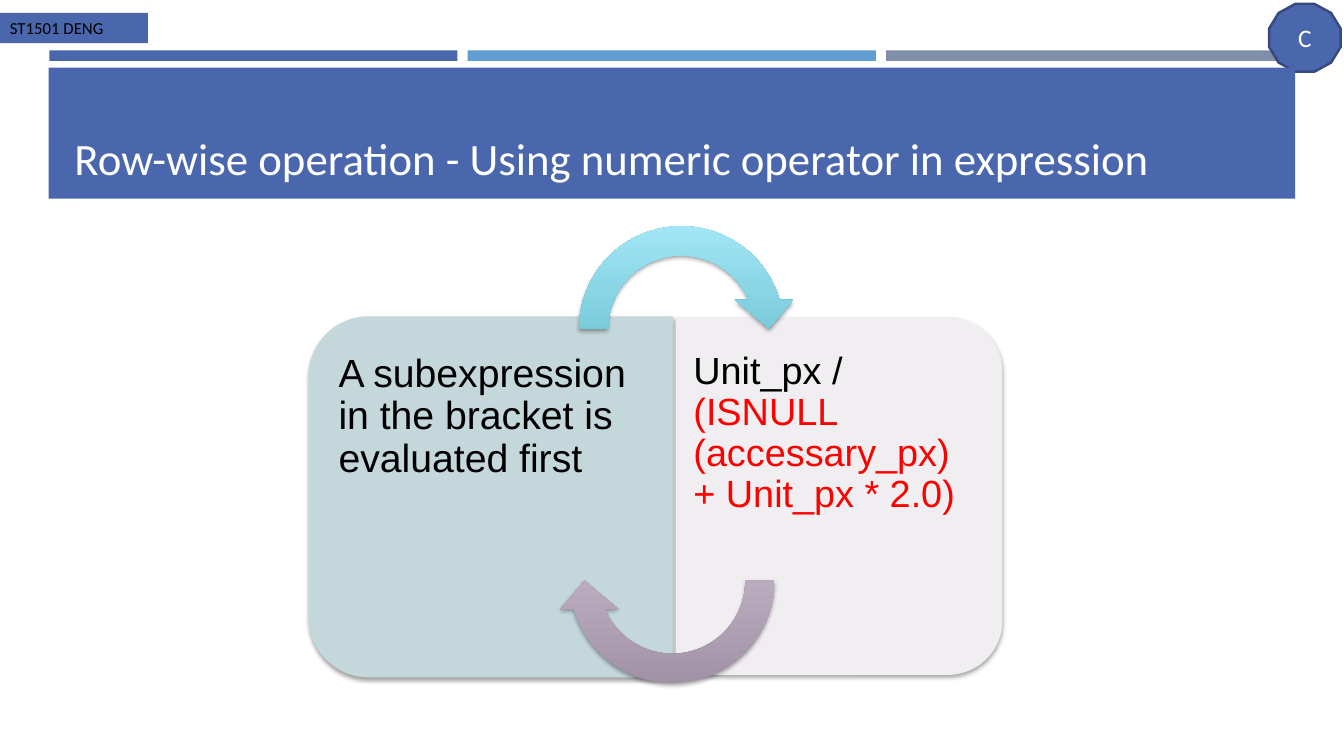
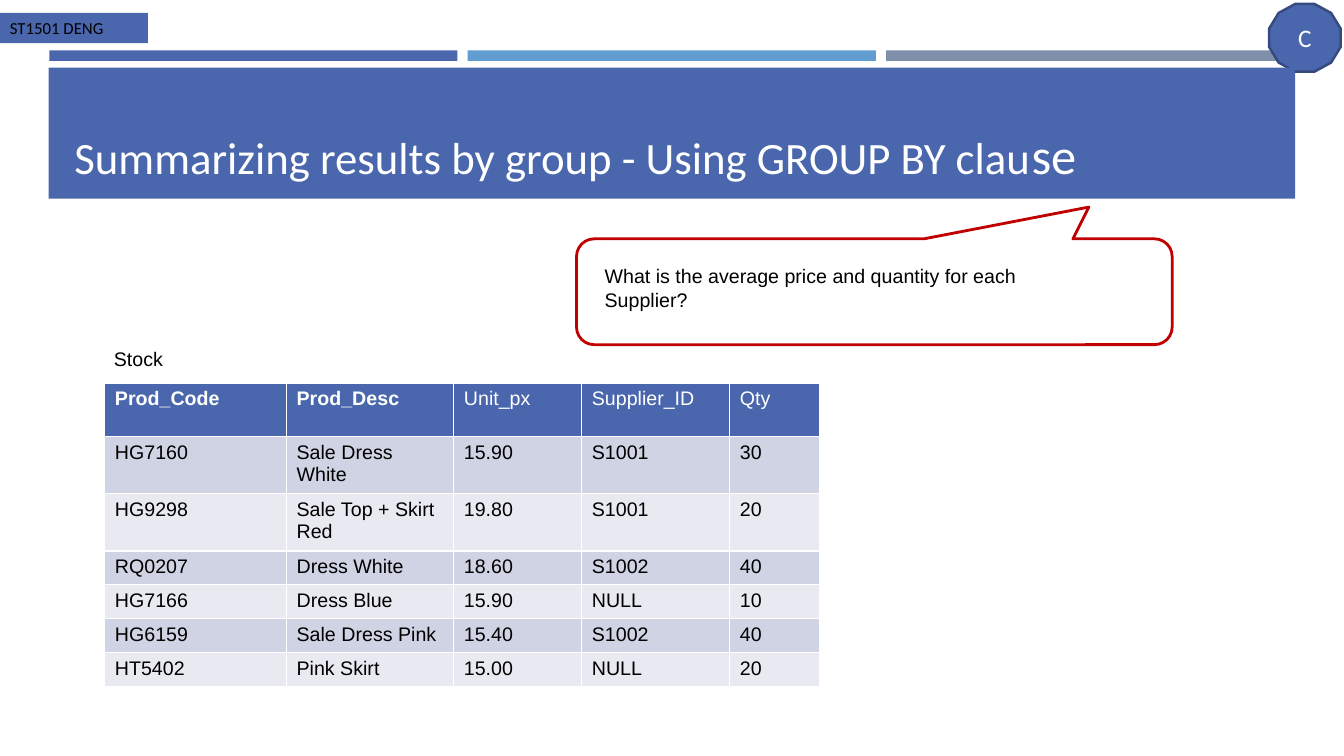
from lxml import etree
from pptx import Presentation
from pptx.dml.color import RGBColor
from pptx.enum.shapes import MSO_SHAPE
from pptx.enum.text import MSO_ANCHOR, PP_ALIGN
from pptx.oxml.ns import qn
from pptx.util import Pt

RECTANGLE = MSO_SHAPE.RECTANGLE
DODECAGON = MSO_SHAPE.DODECAGON
HALF_ROUNDED = MSO_SHAPE.ROUND_2_SAME_RECTANGLE
CIRCULAR_ARROW = MSO_SHAPE.CIRCULAR_ARROW
CALLOUT = MSO_SHAPE.ROUNDED_RECTANGULAR_CALLOUT
TOP, MIDDLE, BOTTOM = MSO_ANCHOR.TOP, MSO_ANCHOR.MIDDLE, MSO_ANCHOR.BOTTOM
LEFT, CENTER = PP_ALIGN.LEFT, PP_ALIGN.CENTER
BLANK_LAYOUT = 6

COLORS = {
    "blue": "4A66AC", "sky": "629DD1", "slate": "7F8FA9", "navy": "364A7D",
    "white": "FFFFFF", "black": "000000", "red": "FF0000", "crimson": "C00000",
    "mist": "C4D7DB", "pearl": "F0EEF0",
    "teal": "4DABBB", "aqua": "A7EAF9", "plum": "9E8EA2", "lilac": "D9CBDD",
    "odd_row": "D0D3E3", "even_row": "E9EAF1",
}
HEADING_FONT, BODY_FONT = "Calibri", "Arial"
INSETS = (7.2, 3.6, 7.2, 3.6)
ARROW_ADJUSTMENTS = (0.125, 11.42, 204.58, 108, 0.125)

STOCK = [
    ("Prod_Code", "Prod_Desc", "Unit_px", "Supplier_ID", "Qty"),
    ("HG7160", "Sale Dress White", "15.90", "S1001", "30"),
    ("HG9298", "Sale Top + Skirt Red", "19.80", "S1001", "20"),
    ("RQ0207", "Dress White", "18.60", "S1002", "40"),
    ("HG7166", "Dress Blue", "15.90", "NULL", "10"),
    ("HG6159", "Sale Dress Pink", "15.40", "S1002", "40"),
    ("HT5402", "Pink Skirt", "15.00", "NULL", "20"),
]
COLUMN_WIDTHS = (129.8, 119.5, 91.4, 105.8, 64)
ROW_HEIGHTS = (38.2, 41, 33.8, 21.6, 20.2, 24.5, 17.3)


def rgb(name):
    """Return the named palette colour."""
    return RGBColor.from_string(COLORS[name])


def lengths(box):
    """Turn a box of numbers into point lengths."""
    return [Pt(round(number, 2)) for number in box]


def offset(box, left, top, width, height):
    """Return a box placed relative to the corner of another box."""
    return box[0] + left, box[1] + top, width, height


def write(frame, paragraphs, font, align=LEFT, spacing=None):
    """Write paragraphs made of (text, size, colour, bold) runs."""
    for index, runs in enumerate(paragraphs):
        para = frame.paragraphs[0] if index == 0 else frame.add_paragraph()
        para.alignment = align
        if spacing:
            para.line_spacing = spacing
        for text, size, color, bold in runs:
            span = para.add_run()
            span.text = text
            span.font.name = font
            span.font.size = Pt(size)
            span.font.bold = bold
            span.font.color.rgb = rgb(color)


def set_insets(frame, insets):
    """Set the left, top, right and bottom insets of a text frame."""
    (frame.margin_left, frame.margin_top,
     frame.margin_right, frame.margin_bottom) = lengths(insets)


def add_text(page, box, paragraphs, font, anchor=TOP, wrap=True,
             insets=INSETS, spacing=None):
    """Add a text box."""
    frame = page.shapes.add_textbox(*lengths(box)).text_frame
    frame.word_wrap = wrap
    frame.vertical_anchor = anchor
    set_insets(frame, insets)
    write(frame, paragraphs, font, spacing=spacing)


def add_shape(page, kind, box, fill=None, line=None, weight=1,
              rotation=0, adjustments=()):
    """Add a preset shape without shadow."""
    shape = page.shapes.add_shape(kind, *lengths(box))
    shape.shadow.inherit = False
    shape.rotation = rotation
    for index, value in enumerate(adjustments):
        shape.adjustments[index] = value
    if fill:
        shape.fill.solid()
        shape.fill.fore_color.rgb = rgb(fill)
    else:
        shape.fill.background()
    if line:
        shape.line.color.rgb = rgb(line)
        shape.line.width = Pt(weight)
    else:
        shape.line.fill.background()
    return shape


def add_shadow(shape):
    """Give a shape a soft shadow falling straight down."""
    effects = shape.element.spPr.find(qn("a:effectLst"))
    shadow = etree.SubElement(
        effects, qn("a:outerShdw"), blurRad=str(Pt(3.1)), dist=str(Pt(1.8)),
        dir="5400000", rotWithShape="0")
    color = etree.SubElement(shadow, qn("a:srgbClr"), val=COLORS["black"])
    etree.SubElement(color, qn("a:alpha"), val="35000")


def add_label(page, kind, box, run, line=None, anchor=TOP, align=LEFT):
    """Add a blue shape that holds a short label."""
    shape = add_shape(page, kind, box, "blue", line, 1.75)
    shape.text_frame.vertical_anchor = anchor
    set_insets(shape.text_frame, INSETS)
    write(shape.text_frame, [[run]], HEADING_FONT, align)


def add_page(deck, title_runs):
    """Add a slide with the shared bars, labels and title band."""
    page = deck.slides.add_slide(deck.slide_layouts[BLANK_LAYOUT])
    for index, color in enumerate(("blue", "sky", "slate")):
        add_shape(page, RECTANGLE, (35.2 + index * 298.9, 36, 291.6, 7.6), color)
    add_label(page, DODECAGON, (906.5, 2.8, 51.2, 48.4), ("C", 18, "white", False),
              "navy", MIDDLE, CENTER)
    add_label(page, RECTANGLE, (0, 9.2, 105.6, 21.6),
              ("ST1501 DENG", 12, "black", False))
    band = (34.8, 48.4, 890.4, 93.6)
    add_shape(page, RECTANGLE, band, "blue")
    add_text(page, offset(band, 11.3, 7, 868.3, 79.9), [title_runs],
             HEADING_FONT, BOTTOM)
    return page


def add_panel(page, box, color, rotation, text_box, insets, runs):
    """Add a panel rounded on one side, with its text."""
    panel = add_shape(page, HALF_ROUNDED, box, color, rotation=rotation,
                      adjustments=(0.167, 0))
    add_shadow(panel)
    add_text(page, text_box, [runs], BODY_FONT, insets=insets, spacing=0.9)


def add_arrow(page, box, start, end, rotation):
    """Add a circular arrow shaded upwards from start to end."""
    arrow = add_shape(page, CIRCULAR_ARROW, box, rotation=rotation,
                      adjustments=ARROW_ADJUSTMENTS)
    arrow.fill.gradient()
    arrow.fill.gradient_angle = 90
    for stop, color, position in zip(arrow.fill.gradient_stops, (start, end), (0, 1)):
        stop.color.rgb = rgb(color)
        stop.position = position
    arrow.element.spPr.find(qn("a:gradFill")).set("rotWithShape", "0")
    add_shadow(arrow)


def add_cycle(page, box):
    """Add two facing panels linked by two circular arrows."""
    add_panel(page, offset(box, 1.4, 73.4, 257.8, 260.6), "mist", 270,
              offset(box, 12.9, 87.8, 248.4, 232.6), (8.6, 13.7, 12.2, 13.7),
              [("A subexpression in the bracket is evaluated first",
                28, "black", False)])
    add_panel(page, offset(box, 251.3, 86.4, 255.6, 233.3), "pearl", 90,
              offset(box, 262.8, 86.4, 221.8, 232.6), (12.2, 13.7, 7.9, 13.7),
              [("Unit_px / ", 27, "black", False),
               ("(ISNULL (accessary_px) + Unit_px * 2.0)", 27, "red", False)])
    add_arrow(page, offset(box, 182.9, 0, 167, 167), "teal", "aqua", 0)
    add_arrow(page, offset(box, 176.4, 180, 167, 167), "plum", "lilac", 180)


def add_borders(cell, color):
    """Draw a one-point border on each side of a cell."""
    properties = cell._tc.get_or_add_tcPr()
    for side in ("a:lnL", "a:lnR", "a:lnT", "a:lnB"):
        line = etree.SubElement(properties, qn(side), w=str(Pt(1)))
        fill = etree.SubElement(line, qn("a:solidFill"))
        etree.SubElement(fill, qn("a:srgbClr"), val=COLORS[color])


def add_stock_table(page, box):
    """Add the stock table under its caption."""
    add_text(page, offset(box, 0, 0, 49.7, 24.5),
             [[("Stock", 14, "black", False)]], BODY_FONT, wrap=False)
    table_box = offset(box, 0.7, 29.5, sum(COLUMN_WIDTHS), sum(ROW_HEIGHTS))
    table = page.shapes.add_table(
        len(STOCK), len(COLUMN_WIDTHS), *lengths(table_box)).table
    for column, width in zip(table.columns, COLUMN_WIDTHS):
        column.width = Pt(width)
    for row_index, values in enumerate(STOCK):
        table.rows[row_index].height = Pt(ROW_HEIGHTS[row_index])
        header = row_index == 0
        fill = "blue" if header else ("even_row", "odd_row")[row_index % 2]
        for column_index, value in enumerate(values):
            cell = table.cell(row_index, column_index)
            add_borders(cell, "white")
            cell.fill.solid()
            cell.fill.fore_color.rgb = rgb(fill)
            run = (value, 14, "white" if header else "black",
                   header and column_index < 2)
            write(cell.text_frame, [[run]], BODY_FONT)


def add_question(page, box):
    """Add the red callout with its question."""
    add_shape(page, CALLOUT, box, line="crimson", weight=2,
              adjustments=(0.36, -0.8, 0.167))
    lines = ("What is the average price and quantity for each", "Supplier?")
    add_text(page, offset(box, 13, 14.4, 313.9, 41),
             [[(line, 14, "black", False)] for line in lines],
             BODY_FONT, wrap=False)


def main():
    """Build the deck and save it."""
    deck = Presentation()
    deck.slide_width, deck.slide_height = Pt(960), Pt(540)
    page = add_page(deck, [
        ("Row-wise operation - Using numeric operator in expression",
         32, "white", False)])
    add_cycle(page, (220.3, 151.2))
    page = add_page(deck, [
        ("Summarizing results by group - Using GROUP BY clau", 32, "white", False),
        ("se", 36, "white", False)])
    add_stock_table(page, (74.2, 244.1))
    add_question(page, (411.8, 170.6, 425.5, 75.6))
    deck.save("out.pptx")


if __name__ == "__main__":
    main()
